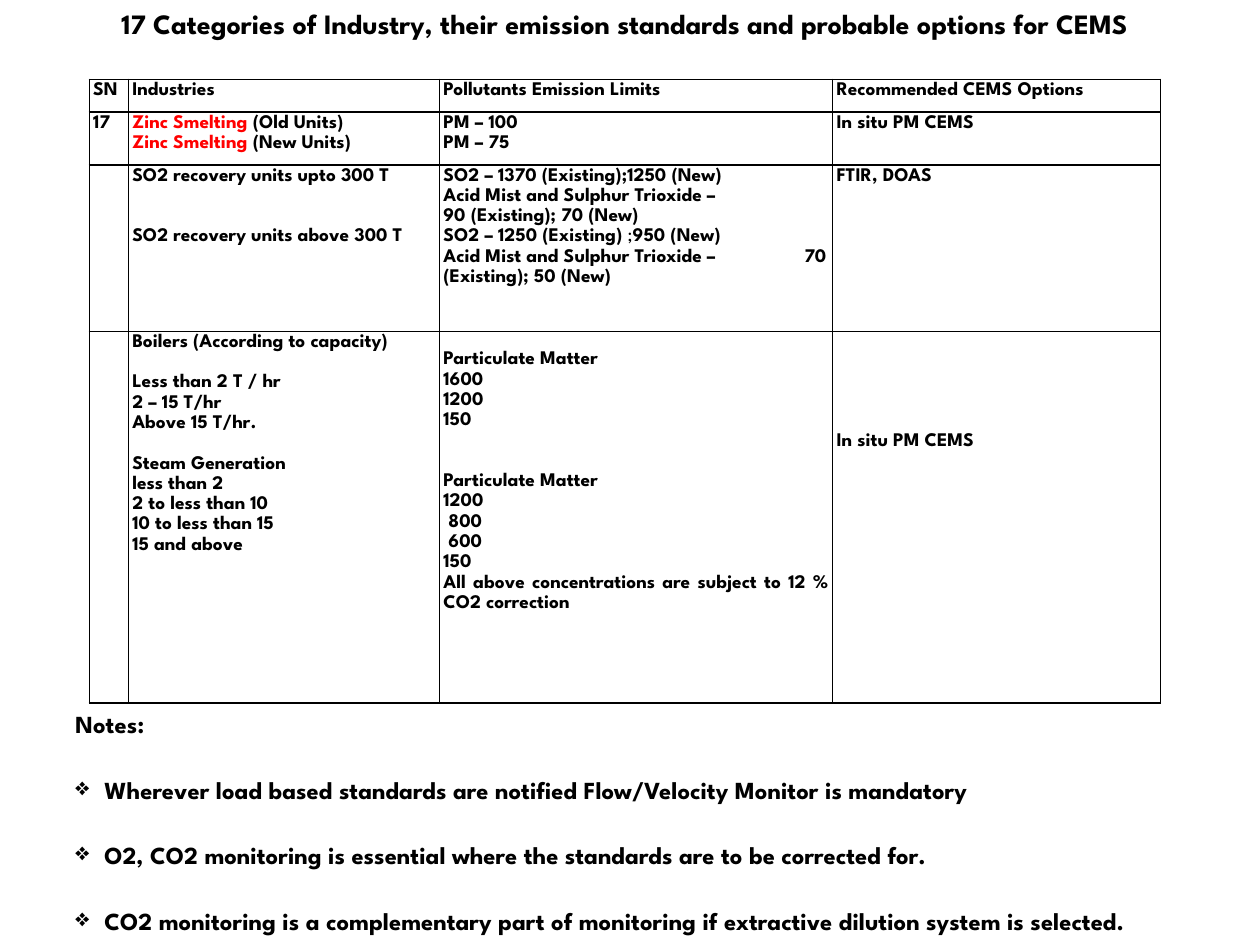
from dataclasses import dataclass

from lxml.etree import SubElement
from pptx import Presentation
from pptx.dml.color import RGBColor
from pptx.enum.text import MSO_ANCHOR, PP_ALIGN
from pptx.oxml.ns import qn
from pptx.util import Inches, Pt


@dataclass(frozen=True)
class Theme:
    face: str = "League Spartan"
    ink: str = "000000"
    accent: str = "FF0000"
    title: float = 16
    cell: float = 11
    note: float = 14
    cell_blank: float = 11.6
    note_gap: float = 20.6


THEME = Theme()

TITLE = "17 Categories of Industry, their emission standards and probable options for CEMS"
COLUMN_WIDTHS = (0.31, 2.47, 3.12, 2.6)
ROW_HEIGHTS = (0.26, 0.42, 1.32, 2.95)
CELL_FORMAT = {
    "margin_left": Inches(0.03),
    "margin_right": Inches(0.03),
    "margin_top": 0,
    "margin_bottom": 0,
    "vertical_anchor": MSO_ANCHOR.TOP,
}
HEADINGS = ("SN", "Industries", "Pollutants Emission Limits", "Recommended CEMS Options")
ZINC = ("Zinc Smelting", {"color": THEME.accent})


def line(*runs, blanks=0, indent=0, tab=0):
    return {"runs": runs, "blanks": blanks, "indent": indent, "tab": tab}


ROWS = (
    [[line(heading)] for heading in HEADINGS],
    [
        [line("17")],
        [line(ZINC, " (Old Units)"), line(ZINC, " (New Units)")],
        [line("PM – 100"), line("PM – 75")],
        [line("In situ PM CEMS")],
    ],
    [
        [],
        [
            line("SO2 recovery units upto 300 T"),
            line("SO2 recovery units above 300 T", blanks=2),
        ],
        [
            line("SO2 – 1370 (Existing);1250 (New)"),
            line("Acid Mist and Sulphur Trioxide – "),
            line("90 (Existing); 70 (New)"),
            line("SO2 – 1250 (Existing)", (" ;", {"bold": False}), "950 (New)"),
            line("Acid Mist and Sulphur Trioxide –\t70", "\v", "(Existing); 50 (New)", tab=3.04),
        ],
        [line("FTIR, DOAS")],
    ],
    [
        [],
        [
            line("Boilers (According to capacity)"),
            line("Less than 2 T / hr", blanks=1),
            line("2 – 15 T/hr"),
            line("Above 15 T/hr."),
            line("Steam Generation", blanks=1),
            line("less than 2 "),
            line("2 to less than 10 "),
            line("10 to less than 15 "),
            line("15 and above "),
        ],
        [
            line("Particulate Matter"),
            line("1600"),
            line("1200"),
            line("150"),
            line("Particulate Matter", blanks=2),
            line("1200"),
            line("800", indent=0.04),
            line("600", indent=0.04),
            line("150"),
            line("All above concentrations are subject to 12 % CO2 correction"),
        ],
        [line("In situ PM CEMS")],
    ],
)
TOP_OFFSETS = {(3, 2): 0.14, (3, 3): 0.79}

NOTES = (
    "Wherever load based standards are notified Flow/Velocity Monitor is mandatory",
    "O2, CO2 monitoring is essential where the standards are to be corrected for.",
    "CO2 monitoring is a complementary part of monitoring if extractive dilution system is selected.",
)


def apply_format(target, values):
    for name, value in values.items():
        setattr(target, name, value)


def add_run(paragraph, text, size, color=THEME.ink, bold=True):
    run = paragraph.add_run()
    run.text = text
    apply_format(run.font, {"name": THEME.face, "size": Pt(size), "bold": bold})
    run.font.color.rgb = RGBColor.from_string(color)


def paragraphs_for(frame, items):
    for index, item in enumerate(items):
        yield (frame.add_paragraph() if index else frame.paragraphs[0]), item


def add_borders(cell):
    properties = cell._tc.get_or_add_tcPr()
    for position, side in enumerate(("lnL", "lnR", "lnT", "lnB")):
        border = properties.makeelement(qn(f"a:{side}"), {"w": str(Pt(1))})
        fill = SubElement(border, qn("a:solidFill"))
        SubElement(fill, qn("a:srgbClr"), val=THEME.ink)
        properties.insert(position, border)


def fill_cell(cell, lines, top_offset):
    apply_format(cell, CELL_FORMAT)
    cell.margin_top = Inches(top_offset)
    cell.fill.background()
    add_borders(cell)
    for paragraph, content in paragraphs_for(cell.text_frame, lines):
        apply_format(paragraph, {
            "alignment": PP_ALIGN.LEFT if content["tab"] else PP_ALIGN.JUSTIFY,
            "line_spacing": 1.15,
        })
        if content["blanks"]:
            paragraph.space_before = Pt(content["blanks"] * THEME.cell_blank)
        properties = paragraph._p.get_or_add_pPr()
        if content["indent"]:
            properties.set("marL", str(Inches(content["indent"])))
        if content["tab"]:
            stops = SubElement(properties, qn("a:tabLst"))
            SubElement(stops, qn("a:tab"), pos=str(Inches(content["tab"])), algn="r")
        for run in content["runs"]:
            if run == "\v":
                paragraph.add_line_break()
                continue
            text, style = (run, {}) if isinstance(run, str) else run
            add_run(paragraph, text, THEME.cell, **style)


def add_standards_table(slide):
    standards = slide.shapes.add_table(
        len(ROW_HEIGHTS), len(COLUMN_WIDTHS), Inches(0.71), Inches(0.63),
        Inches(sum(COLUMN_WIDTHS)), Inches(sum(ROW_HEIGHTS)),
    ).table
    apply_format(standards, {"first_row": False, "horz_banding": False})
    for column, width in zip(standards.columns, COLUMN_WIDTHS):
        column.width = Inches(width)
    for row_index, (row, height) in enumerate(zip(standards.rows, ROW_HEIGHTS)):
        row.height = Inches(height)
        for column_index, lines in enumerate(ROWS[row_index]):
            offset = TOP_OFFSETS.get((row_index, column_index), 0)
            fill_cell(row.cells[column_index], lines, offset)


def add_text_frame(slide, left, top, width, height):
    frame = slide.shapes.add_textbox(*map(Inches, (left, top, width, height))).text_frame
    frame.word_wrap = True
    return frame


def add_title(slide):
    heading = add_text_frame(slide, 0.17, 0, 9.58, 0.37).paragraphs[0]
    heading.alignment = PP_ALIGN.CENTER
    add_run(heading, TITLE, THEME.title)


def add_notes(slide):
    frame = add_text_frame(slide, 0.5, 5.58, 8.92, 1.9)
    for paragraph, note in paragraphs_for(frame, ("Notes:", *NOTES)):
        if note in NOTES:
            properties = paragraph._p.get_or_add_pPr()
            apply_format(paragraph, {"space_before": Pt(THEME.note_gap)})
            properties.set("marL", str(Inches(0.23)))
            properties.set("indent", str(-Inches(0.23)))
            SubElement(properties, qn("a:buChar"), char="❖")
        add_run(paragraph, note, THEME.note)


def main():
    deck = Presentation()
    apply_format(deck, {"slide_width": Inches(10), "slide_height": Inches(7.5)})
    slide = deck.slides.add_slide(deck.slide_layouts[6])
    add_standards_table(slide)
    add_title(slide)
    add_notes(slide)
    deck.save("out.pptx")


if __name__ == "__main__":
    main()
